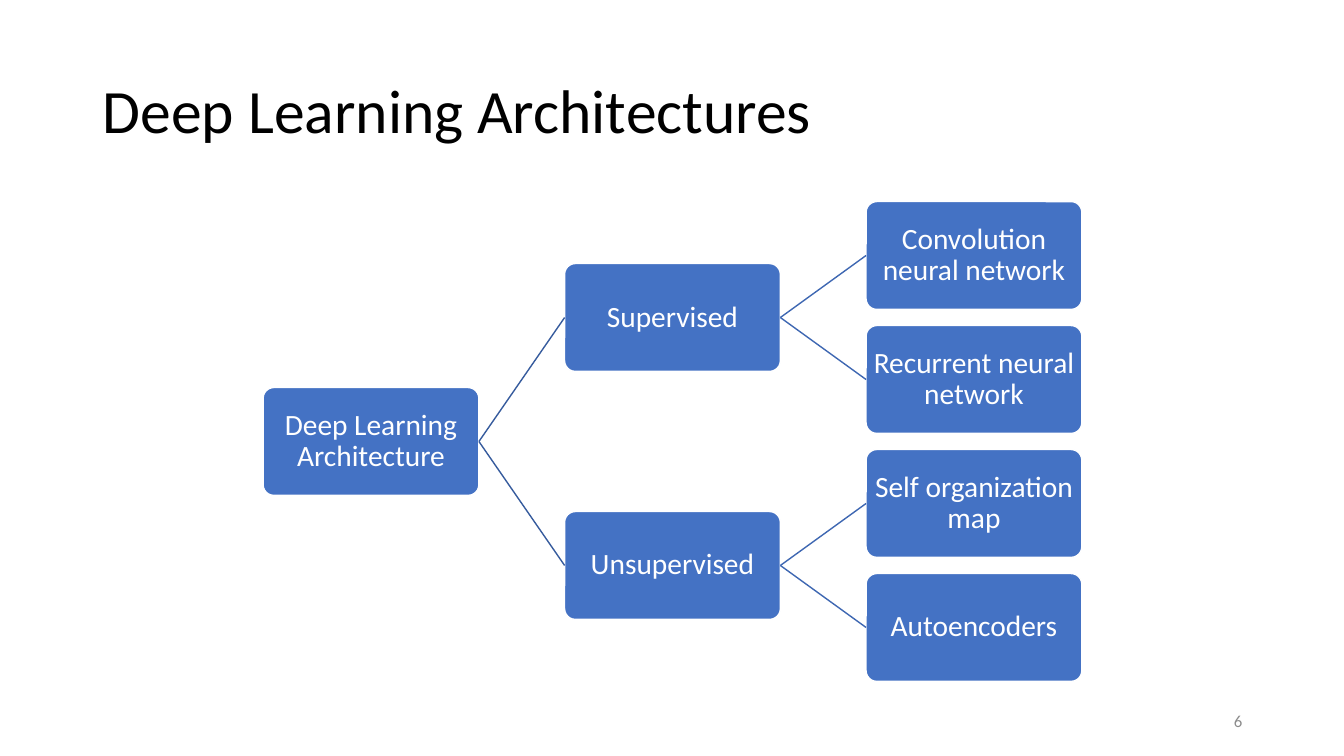
import pptx
import pptx.util
import pptx.dml.color
import pptx.enum.shapes
import pptx.enum.text
import pptx.oxml.ns
import lxml.etree

ALIGN = pptx.enum.text.PP_ALIGN
SHAPE = pptx.enum.shapes.MSO_SHAPE
LEFT, RIGHT = 1, 3  # connection sites of a box


def color(code):
    return pptx.dml.color.RGBColor.from_string(code)


def write(frame, text, size=21, ink="FFFFFF", align=ALIGN.CENTER, space=0.9, inset=None):
    frame.word_wrap = True
    frame.auto_size = pptx.enum.text.MSO_AUTO_SIZE.NONE
    frame.vertical_anchor = pptx.enum.text.MSO_ANCHOR.MIDDLE
    if inset is not None:
        gap = pptx.util.Inches(inset)
        frame.margin_left = frame.margin_right = gap
        frame.margin_top = frame.margin_bottom = gap
    para = frame.paragraphs[0]
    para.alignment = align
    para.line_spacing = space
    run = para.add_run()
    run.text = text
    run.font.name = "Calibri"
    run.font.size = pptx.util.Pt(size)
    run.font.color.rgb = color(ink)


class Chart:
    """Style and slide of a tree drawn on a grid of columns and rows."""
    fill, edge = "4472C4", "FFFFFF"
    left, top = 2.61, 2.0
    col, row = 2.99, 1.23
    wide, high = 2.14, 1.07

    def __init__(self, slide):
        self.slide = slide

    def title(self, text):
        head = self.slide.shapes.title
        head.left, head.top, head.width, head.height = map(
            pptx.util.Inches, (0.92, 0.4, 11.5, 1.45))
        write(head.text_frame, text, size=44, ink="000000", align=ALIGN.LEFT)

    def node(self, text, col, row):
        spot = (self.left + col * self.col, self.top + row * self.row, self.wide, self.high)
        box = self.slide.shapes.add_shape(
            SHAPE.ROUNDED_RECTANGLE, *map(pptx.util.Inches, spot))
        box.adjustments[0] = 0.1
        box.shadow.inherit = False
        box.fill.solid()
        box.fill.fore_color.rgb = color(self.fill)
        box.line.color.rgb = color(self.edge)
        box.line.width = pptx.util.Pt(1)
        write(box.text_frame, text, inset=0.01)
        return box

    def link(self, start, end, ink):
        line = self.slide.shapes.add_connector(
            pptx.enum.shapes.MSO_CONNECTOR.STRAIGHT, 0, 0, 0, 0)
        line.begin_connect(start, RIGHT)
        line.end_connect(end, LEFT)
        line.line.color.rgb = color(ink)
        line.line.width = pptx.util.Pt(1)
        lxml.etree.SubElement(line._element.spPr, pptx.oxml.ns.qn("a:effectLst"))

    def number(self, text):
        box = self.slide.shapes.add_textbox(*map(pptx.util.Inches, (9.42, 6.95, 3, 0.4)))
        write(box.text_frame, text, size=12, ink="8C8C8C", align=ALIGN.RIGHT, space=1.0)


deck = pptx.Presentation()
deck.slide_width = pptx.util.Inches(13.33)
deck.slide_height = pptx.util.Inches(7.5)
chart = Chart(deck.slides.add_slide(deck.slide_layouts[5]))

chart.title("Deep Learning Architectures")

# Tree: each parent sits midway between its two children
tree = {
    "Supervised": ["Convolution neural network", "Recurrent neural network"],
    "Unsupervised": ["Self organization map", "Autoencoders"],
}
root = chart.node("Deep Learning Architecture", 0, 1.5)
for i, (name, kids) in enumerate(tree.items()):
    branch = chart.node(name, 1, 2 * i + 0.5)
    chart.link(root, branch, "365B9D")
    for j, kid in enumerate(kids):
        leaf = chart.node(kid, 2, 2 * i + j)
        chart.link(branch, leaf, "3E67B2")

# Slide number
chart.number("6")

deck.save("out.pptx")
